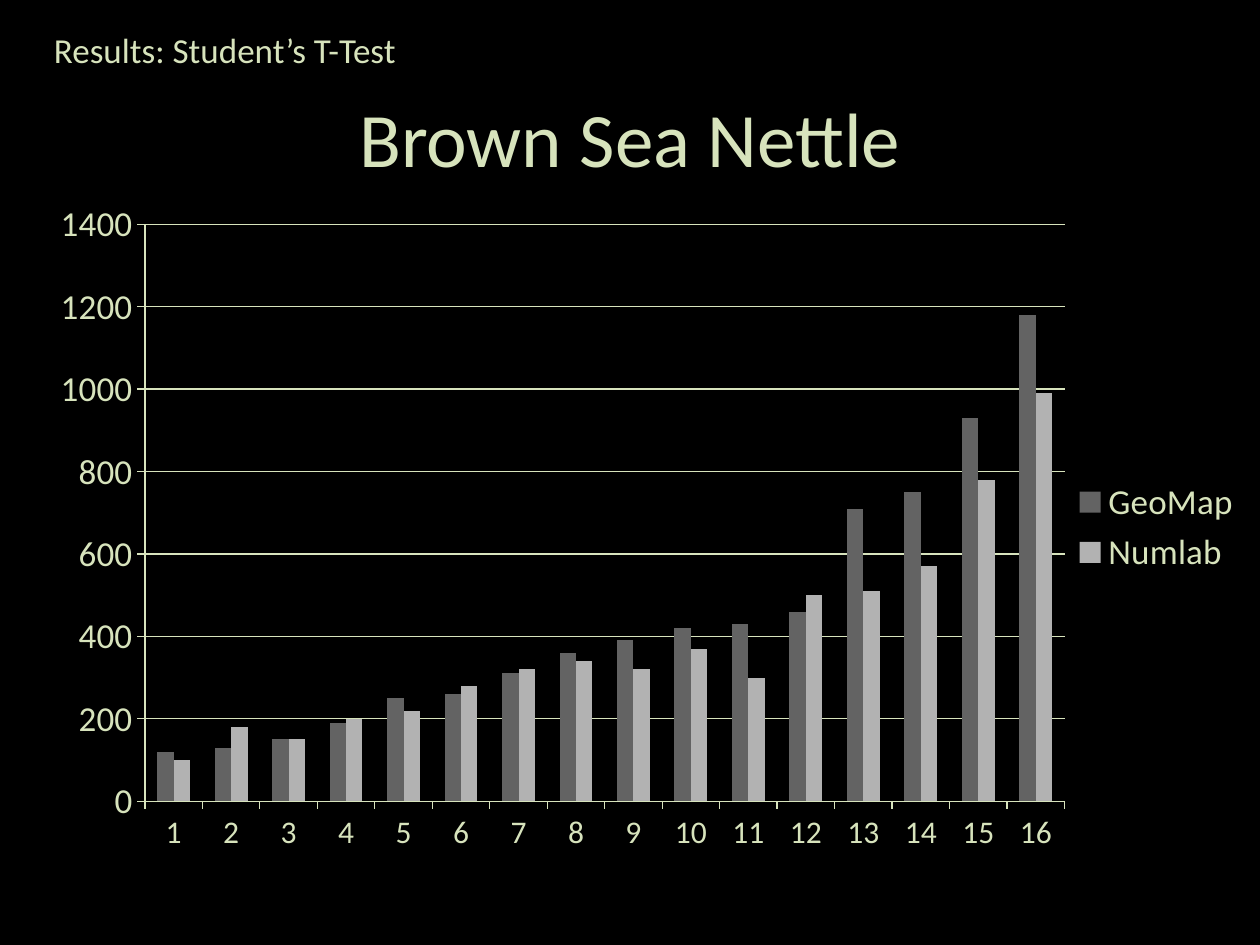
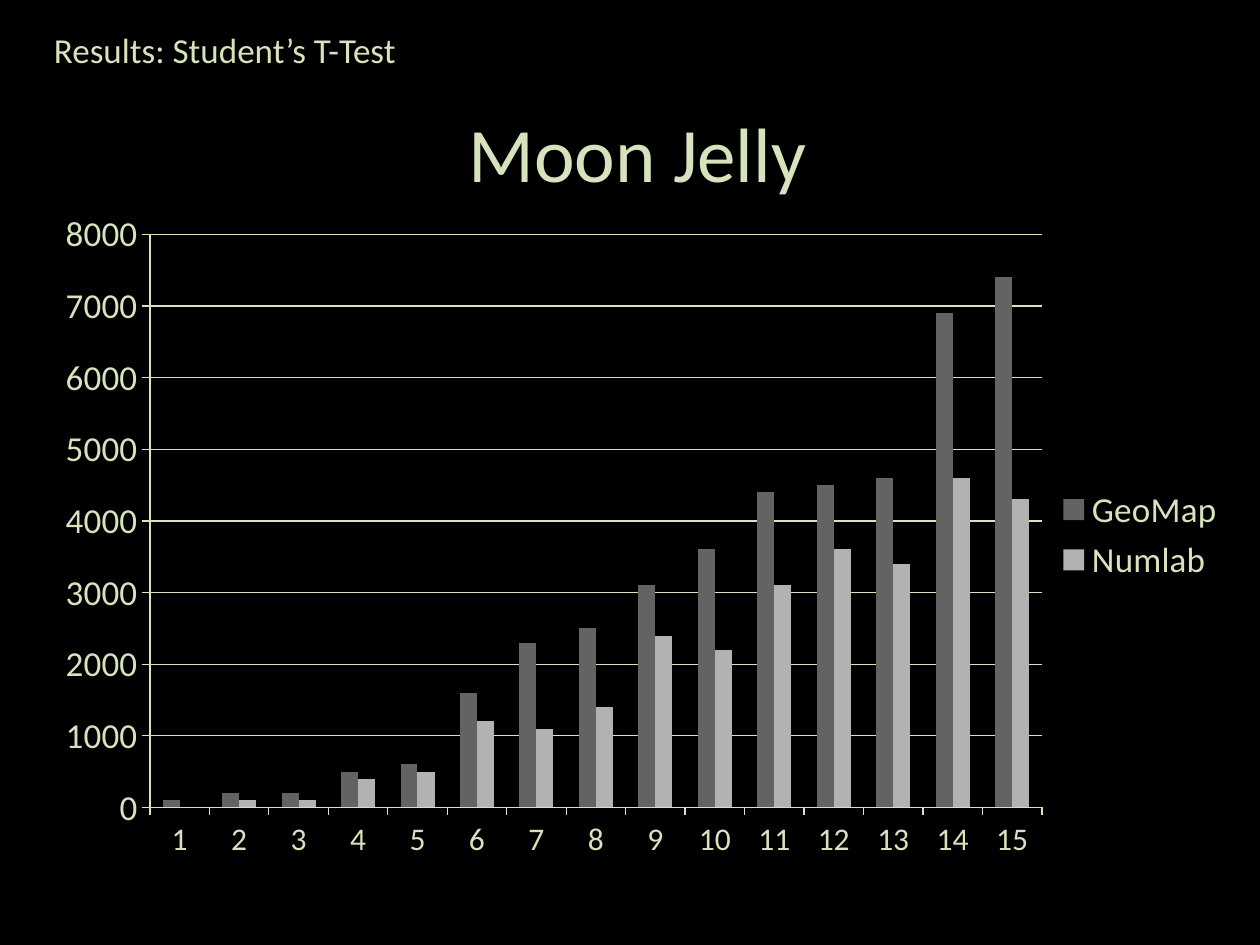
from lxml import etree
from pptx import Presentation
from pptx.chart import data
from pptx.dml import color
from pptx.enum import chart as charts, text
from pptx.oxml import ns
from pptx.util import Inches, Pt

COLORS = {"background": "000000", "text": "D7E3BC", "dark bar": "636363", "light bar": "B2B2B2"}
FONT = "Calibri"
SECTION = "Results: Student’s T-Test"
METHODS = [("GeoMap", "dark bar"), ("Numlab", "light bar")]
SPECIES = [
    {
        "title": "Brown Sea Nettle",
        "title box": (0, 0.46, 10, 1.25),
        "chart box": (0.29, 1.5, 9.67, 5.37),
        "plot box": (1.15, 1.78, 7.3, 4.58),
        "maximum": 1400,
        "step": 200,
        "counts": [
            [120, 130, 150, 190, 250, 260, 310, 360, 390, 420, 430, 460, 710, 750, 930, 1180],
            [100, 180, 150, 200, 220, 280, 320, 340, 320, 370, 300, 500, 510, 570, 780, 990],
        ],
    },
    {
        "title": "Moon Jelly",
        "title box": (0.56, 0.58, 9, 1.25),
        "chart box": (0.33, 1.58, 9.5, 5.33),
        "plot box": (1.19, 1.86, 7.08, 4.55),
        "maximum": 8000,
        "step": 1000,
        "counts": [
            [100, 200, 200, 500, 600, 1600, 2300, 2500, 3100, 3600, 4400, 4500, 4600, 6900, 7400],
            [0, 100, 100, 400, 500, 1200, 1100, 1400, 2400, 2200, 3100, 3600, 3400, 4600, 4300],
        ],
    },
]


def rgb(name):
    return color.RGBColor.from_string(COLORS[name])


def write(shape, words, size, alignment):
    frame = shape.text_frame
    frame.word_wrap = True
    frame.auto_size = text.MSO_AUTO_SIZE.NONE
    frame.vertical_anchor = text.MSO_ANCHOR.MIDDLE
    paragraph = frame.paragraphs[0]
    paragraph.alignment = alignment
    run = paragraph.add_run()
    run.text = words
    run.font.name = FONT
    run.font.size = Pt(size)
    run.font.color.rgb = rgb("text")


presentation = Presentation()
presentation.slide_width = Inches(10)
presentation.slide_height = Inches(7.5)
background = presentation.slide_master.background.fill
background.solid()
background.fore_color.rgb = rgb("background")

for species in SPECIES:
    slide = presentation.slides.add_slide(presentation.slide_layouts[5])
    title = slide.shapes.title
    title.left, title.top, title.width, title.height = map(Inches, species["title box"])
    write(title, species["title"], 44, text.PP_ALIGN.CENTER)

    section = slide.shapes.add_textbox(Inches(0.33), Inches(0.17), Inches(5.17), Inches(0.45))
    write(section, SECTION, 20, text.PP_ALIGN.LEFT)

    chart_data = data.CategoryChartData()
    chart_data.categories = [str(number + 1) for number in range(len(species["counts"][0]))]
    for (method, _), counts in zip(METHODS, species["counts"]):
        chart_data.add_series(method, counts)
    chart = slide.shapes.add_chart(
        charts.XL_CHART_TYPE.COLUMN_CLUSTERED, *map(Inches, species["chart box"]), chart_data
    ).chart
    chart.has_title = False
    chart.font.name = FONT
    chart.font.size = Pt(18)
    chart.font.color.rgb = rgb("text")

    plot = chart.plots[0]
    plot.gap_width = 150
    plot.overlap = 0
    plot.vary_by_categories = False
    for series, (_, fill_name) in zip(plot.series, METHODS):
        series.format.fill.solid()
        series.format.fill.fore_color.rgb = rgb(fill_name)

    value_axis = chart.value_axis
    value_axis.minimum_scale = 0
    value_axis.maximum_scale = species["maximum"]
    value_axis.major_unit = species["step"]
    value_axis.has_major_gridlines = True
    value_axis.tick_labels.font.size = Pt(20)
    for axis in (chart.category_axis, value_axis):
        axis.major_tick_mark = charts.XL_TICK_MARK.OUTSIDE
    for part in (chart.category_axis, value_axis, value_axis.major_gridlines):
        part.format.line.color.rgb = rgb("text")
        part.format.line.width = Pt(0.75)

    chart.has_legend = True
    chart.legend.position = charts.XL_LEGEND_POSITION.RIGHT
    chart.legend.include_in_layout = False
    chart.legend.font.size = Pt(20)

    plot_area = chart.element.find(".//" + ns.qn("c:plotArea"))
    for layout in plot_area.findall(ns.qn("c:layout")):
        plot_area.remove(layout)
    layout = etree.Element(ns.qn("c:layout"))
    manual = etree.SubElement(layout, ns.qn("c:manualLayout"))
    left, top, width, height = species["chart box"]
    plot_left, plot_top, plot_width, plot_height = species["plot box"]
    settings = {
        "layoutTarget": "inner",
        "xMode": "edge",
        "yMode": "edge",
        "x": (plot_left - left) / width,
        "y": (plot_top - top) / height,
        "w": plot_width / width,
        "h": plot_height / height,
    }
    for tag, value in settings.items():
        etree.SubElement(manual, ns.qn("c:" + tag)).set("val", str(value))
    plot_area.insert(0, layout)

presentation.save("out.pptx")
